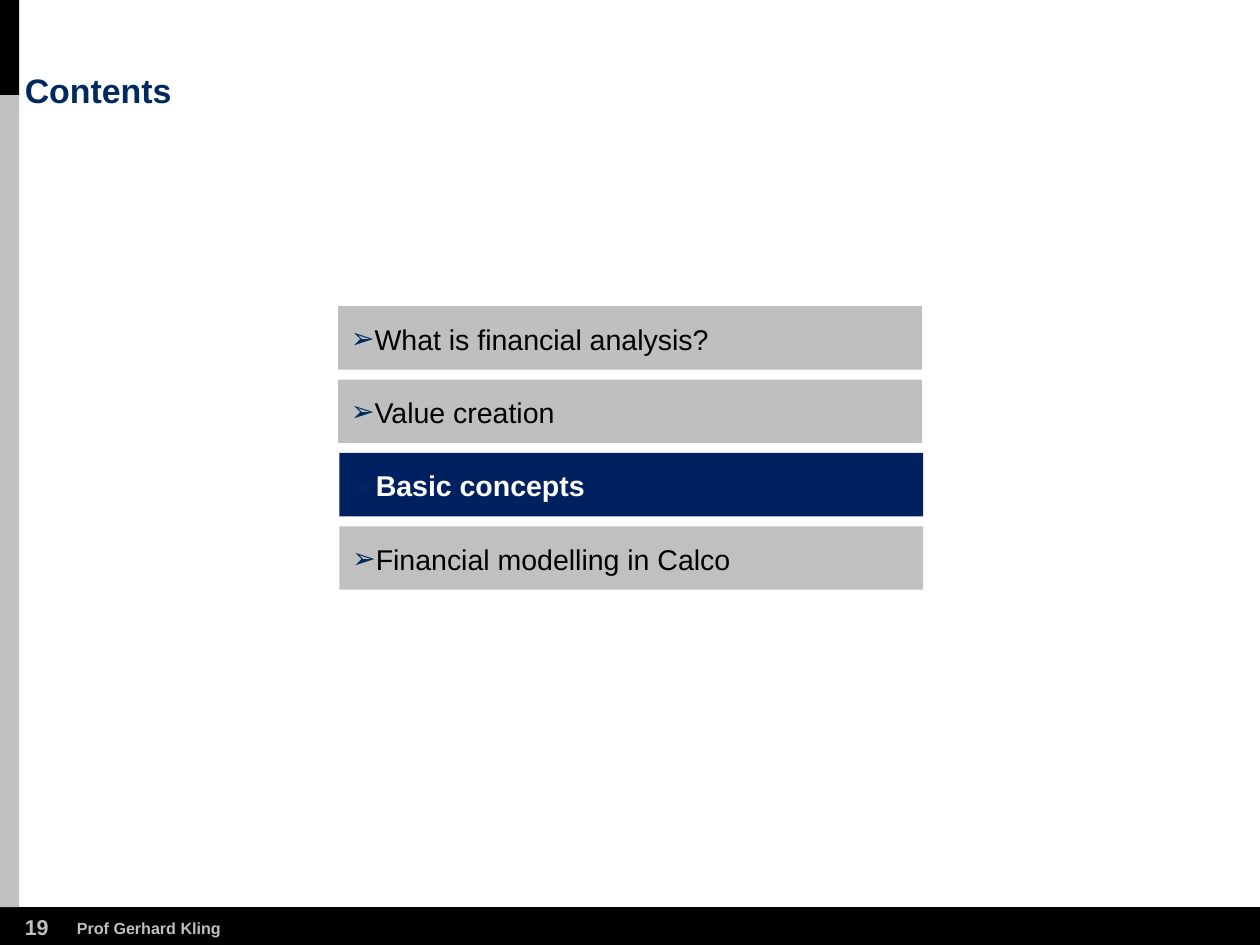
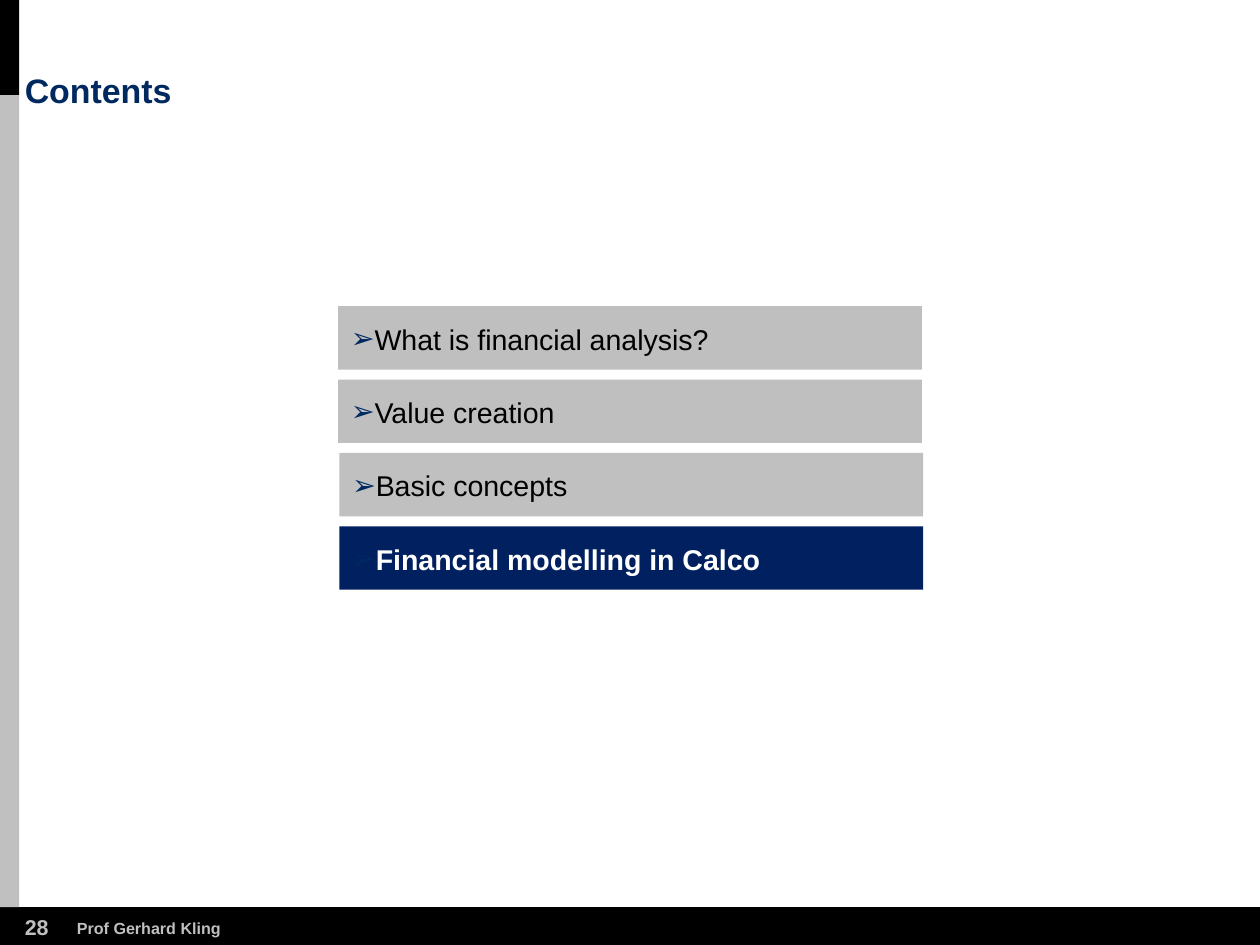
import pptx
import pptx.dml.color
import pptx.enum.shapes
import pptx.enum.text
import pptx.oxml
import pptx.oxml.ns
import pptx.util

Pt = pptx.util.Pt
ANCHOR = pptx.enum.text.MSO_ANCHOR

BLACK, WHITE = "000000", "FFFFFF"
SILVER, GREY = "C0C0C0", "BFBFBF"
NAVY, HIGHLIGHT = "002960", "002060"
WIDTH, HEIGHT = 705.6, 529.2
SIDE_WIDTH, SIDE_SPLIT, FOOTER_TOP = 10.7, 53.3, 508
BAR_TOP, BAR_STEP, BAR_WIDTH, BAR_HEIGHT = 171.5, 41.1, 326.9, 35.5

BANDS = [
    (0, FOOTER_TOP, WIDTH, HEIGHT - FOOTER_TOP, BLACK),
    (0, 0, SIDE_WIDTH, SIDE_SPLIT, BLACK),
    (0, SIDE_SPLIT, SIDE_WIDTH, FOOTER_TOP - SIDE_SPLIT, SILVER),
]
# topic, left edge, fill when not highlighted
TOPICS = [
    ("What is financial analysis?", 189.4, GREY),
    ("Value creation", 189.4, GREY),
    ("Basic concepts", 190.1, SILVER),
    ("Financial modelling in Calco", 190.1, SILVER),
]
# slide number, highlighted topic
AGENDAS = [(19, "Basic concepts"), (28, "Financial modelling in Calco")]


def add_block(slide, left, top, width, height, fill=None):
    """Add a filled rectangle, or a text box without fill, with no insets."""
    box = [Pt(value) for value in (left, top, width, height)]
    if fill:
        block = slide.shapes.add_shape(pptx.enum.shapes.MSO_SHAPE.RECTANGLE, *box)
        block.shadow.inherit = False
        block.fill.solid()
        block.fill.fore_color.rgb = pptx.dml.color.RGBColor.from_string(fill)
        block.line.fill.background()
    else:
        block = slide.shapes.add_textbox(*box)
    frame = block.text_frame
    frame.margin_left = frame.margin_right = 0
    frame.margin_top = frame.margin_bottom = 0
    return frame


def write(frame, text, size, color, bold, anchor=ANCHOR.TOP, wrap=False):
    frame.word_wrap = wrap
    frame.vertical_anchor = anchor
    paragraph = frame.paragraphs[0]
    paragraph.alignment = pptx.enum.text.PP_ALIGN.LEFT
    run = paragraph.add_run()
    run.text = text
    run.font.name = "Arial"
    run.font.size = Pt(size)
    run.font.bold = bold
    run.font.color.rgb = pptx.dml.color.RGBColor.from_string(color)
    return paragraph


deck = pptx.Presentation()
deck.slide_width, deck.slide_height = Pt(WIDTH), Pt(HEIGHT)
namespace = pptx.oxml.ns.nsdecls("a")

for number, current in AGENDAS:
    slide = deck.slides.add_slide(deck.slide_layouts[6])
    for band in BANDS:
        add_block(slide, *band)
    write(add_block(slide, 13.9, 512, 14.4, 14.4), str(number), 12, SILVER, True)
    write(add_block(slide, 43.1, 514.3, 81.4, 10.8), "Prof Gerhard Kling", 9, SILVER, True)
    title = write(add_block(slide, 13.9, 41.8, 558.7, 20.2), "Contents", 19, NAVY, True,
                  ANCHOR.BOTTOM, True)
    title.line_spacing = 0.9

    for row, (topic, left, fill) in enumerate(TOPICS):
        active = topic == current
        bar = add_block(slide, left, BAR_TOP + row * BAR_STEP, BAR_WIDTH, BAR_HEIGHT,
                        HIGHLIGHT if active else fill)
        bar.margin_left, bar.margin_top = Pt(7.2), Pt(1)
        entry = write(bar, topic, 16, WHITE if active else BLACK, active, ANCHOR.MIDDLE, True)
        properties = entry._p.get_or_add_pPr()
        properties.set("marL", str(Pt(11.5)))
        properties.set("indent", str(-Pt(11.5)))
        for bullet in (f'<a:buClr {namespace}><a:srgbClr val="{NAVY}"/></a:buClr>',
                       f'<a:buFont {namespace} typeface="Arial"/>',
                       f'<a:buChar {namespace} char="➢"/>'):
            properties.append(pptx.oxml.parse_xml(bullet))

deck.save("out.pptx")
